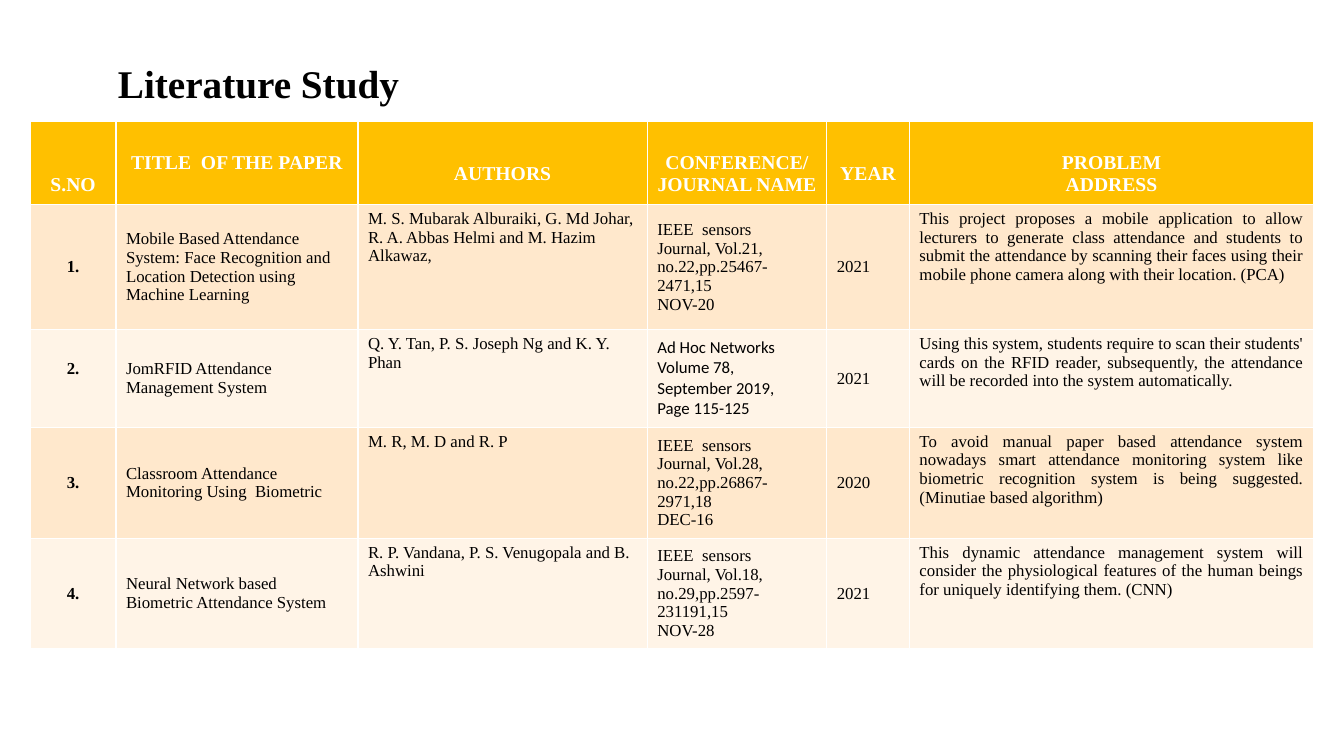
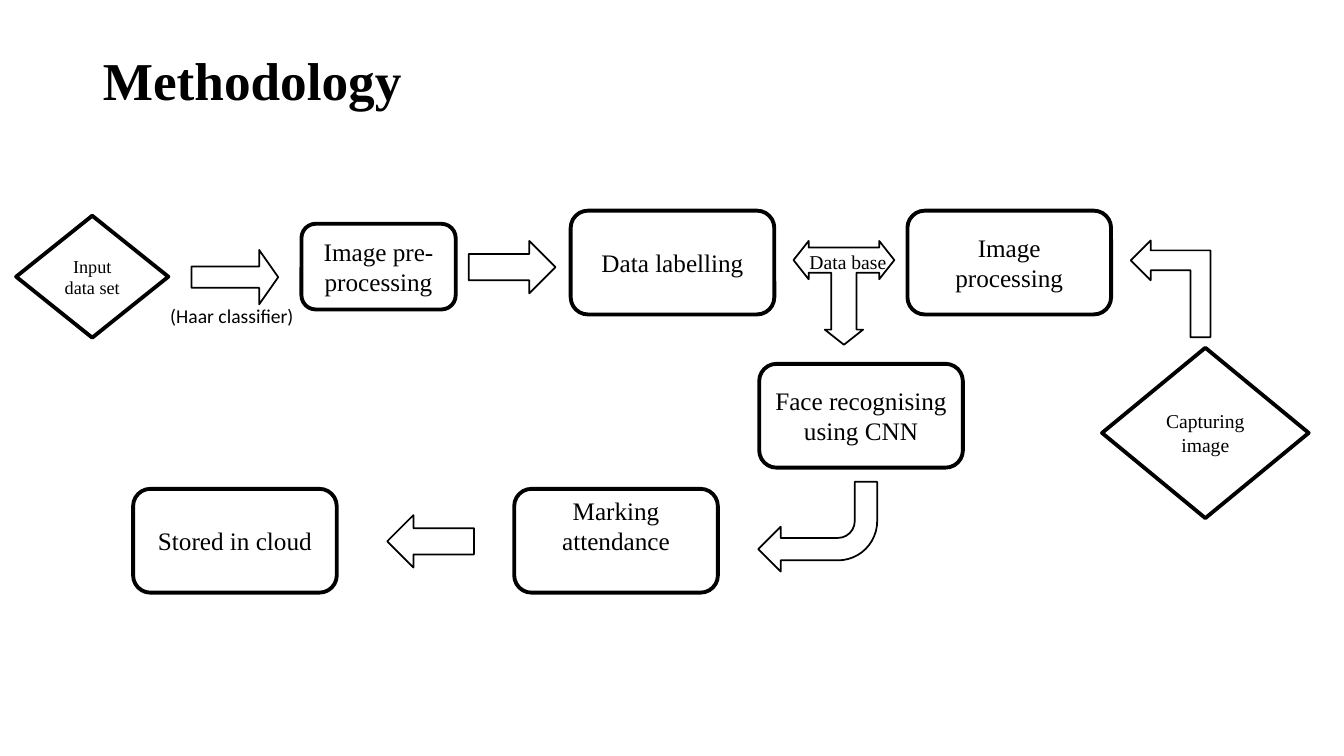
from pptx import Presentation
from pptx import util as u
from pptx.dml.color import RGBColor
from pptx.enum import shapes, text

BLACK = RGBColor(0, 0, 0)
WHITE = RGBColor(255, 255, 255)
GOLD = RGBColor(0xFF, 0xC0, 0x00)
BANDS = (RGBColor(0xFF, 0xE8, 0xCC), RGBColor(0xFF, 0xF4, 0xE7))
SERIF, SANS = "Times New Roman", "Calibri"

LEFT, CENTER, JUSTIFY = text.PP_ALIGN.LEFT, text.PP_ALIGN.CENTER, text.PP_ALIGN.JUSTIFY
TOP, MIDDLE = text.MSO_ANCHOR.TOP, text.MSO_ANCHOR.MIDDLE
GEOMETRY = shapes.MSO_SHAPE

# Literature table: width, alignment and anchor of each column
COLUMNS = [(0.85, CENTER, MIDDLE), (2.4, LEFT, MIDDLE), (2.87, LEFT, TOP),
           (1.78, LEFT, MIDDLE), (0.82, LEFT, MIDDLE), (4.01, JUSTIFY, TOP)]
ROW_HEIGHTS = [0.83, 1.24, 0.97, 1.1, 1.1]
HEADER_LINE = 0.22
# Heading and the number of lines it is pushed down
HEADINGS = [("S.NO", 2), ("TITLE  OF THE PAPER", 0), ("AUTHORS", 1),
            ("CONFERENCE/\nJOURNAL NAME", 1), ("YEAR", 1), ("PROBLEM\nADDRESS", 1)]
PAPERS = [
    ("1.", "Mobile Based Attendance System: Face Recognition and Location Detection "
     "using Machine Learning",
     "M. S. Mubarak Alburaiki, G. Md Johar, R. A. Abbas Helmi and M. Hazim Alkawaz,",
     "IEEE  sensors\nJournal, Vol.21, no.22,pp.25467-2471,15\nNOV-20", "2021",
     "This project proposes a mobile application to allow lecturers to generate class "
     "attendance and students to submit the attendance by scanning their faces using "
     "their mobile phone camera along with their location. (PCA)"),
    ("2.", "JomRFID Attendance Management System",
     "Q. Y. Tan, P. S. Joseph Ng and K. Y. Phan",
     "Ad Hoc Networks\nVolume 78,\nSeptember 2019,\nPage 115-125", "2021",
     "Using this system, students require to scan their students' cards on the RFID "
     "reader, subsequently, the attendance will be recorded into the system "
     "automatically."),
    ("3.", "Classroom Attendance Monitoring Using  Biometric",
     "M. R, M. D and R. P",
     "IEEE  sensors\nJournal, Vol.28, no.22,pp.26867-2971,18\nDEC-16", "2020",
     "To avoid manual paper based attendance system nowadays smart attendance "
     "monitoring system like biometric recognition system is being suggested. "
     "(Minutiae based algorithm)"),
    ("4.", "Neural Network based Biometric Attendance System",
     "R. P. Vandana, P. S. Venugopala and B. Ashwini",
     "IEEE  sensors\nJournal, Vol.18, no.29,pp.2597-231191,15\nNOV-28", "2021",
     "This dynamic attendance management system will consider the physiological "
     "features of the human beings for uniquely identifying them. (CNN)"),
]

# Flow chart: rows, and the size of a normal step
UPPER, BRANCH, LOWER = 2.09, 3.61, 4.85
STEP = (2.02, 1.03)
ARROW = (0.86, 0.52)
STEPS = [("Data labelling", 5.66, UPPER), ("Image processing", 9, UPPER),
         ("Face recognising using CNN", 7.53, BRANCH), ("Stored in cloud", 1.32, LOWER)]


def inches(*lengths):
    return [u.Inches(length) for length in lengths]


def write(frame, words, size, font=SERIF, color=BLACK, bold=False, align=LEFT):
    frame.text = words
    frame.word_wrap = True
    for paragraph in frame.paragraphs:
        paragraph.alignment = align
        paragraph.font.size = u.Pt(size)
        paragraph.font.name = font
        paragraph.font.color.rgb = color
        paragraph.font.bold = bold


def add_titled_slide(deck, title, at, size):
    slide = deck.slides.add_slide(deck.slide_layouts[5])
    heading = slide.shapes.title
    heading.left, heading.top, heading.width, heading.height = inches(*at)
    write(heading.text_frame, title, size, bold=True)
    heading.text_frame.vertical_anchor = TOP
    heading.text_frame.auto_size = text.MSO_AUTO_SIZE.NONE
    return slide


def fill_cell(cell, words, fill, size, anchor, **style):
    cell.fill.solid()
    cell.fill.fore_color.rgb = fill
    write(cell.text_frame, words, size, **style)
    cell.vertical_anchor = anchor


def add_literature_table(slide):
    width = sum(column[0] for column in COLUMNS)
    table = slide.shapes.add_table(
        len(ROW_HEIGHTS), len(COLUMNS),
        *inches(0.3, 1.2, width, sum(ROW_HEIGHTS))).table
    for row, height in zip(table.rows, ROW_HEIGHTS):
        row.height = u.Inches(height)
    for c, (width, align, anchor) in enumerate(COLUMNS):
        table.columns[c].width = u.Inches(width)
        heading, lines_down = HEADINGS[c]
        head = table.cell(0, c)
        fill_cell(head, heading, GOLD, 14, MIDDLE, color=WHITE, bold=True, align=CENTER)
        head.margin_top = u.Inches(0.05 + lines_down * HEADER_LINE)
        for r, paper in enumerate(PAPERS):
            font = SANS if paper[c].startswith("Ad Hoc") else SERIF
            fill_cell(table.cell(r + 1, c), paper[c], BANDS[r % 2], 12, anchor,
                      font=font, bold=c == 0, align=align)
    table.cell(2, 0).margin_bottom = u.Inches(0.25)


def add_outline(slide, geometry, at, weight):
    shape = slide.shapes.add_shape(geometry, *inches(*at))
    shape.shadow.inherit = False
    shape.fill.solid()
    shape.fill.fore_color.rgb = WHITE
    shape.line.color.rgb = BLACK
    shape.line.width = u.Pt(weight)
    return shape


def add_node(slide, words, at, size=18, geometry=GEOMETRY.ROUNDED_RECTANGLE):
    node = add_outline(slide, geometry, at, 2.75)
    write(node.text_frame, words, size, align=CENTER)
    node.text_frame.vertical_anchor = MIDDLE
    return node


def add_arrow(slide, at, geometry=GEOMETRY.RIGHT_ARROW, rotation=0, adjustments=()):
    arrow = add_outline(slide, geometry, at, 1.25)
    arrow.rotation = rotation
    for i, value in enumerate(adjustments):
        arrow.adjustments[i] = value


def add_label(slide, words, at, font=SERIF):
    label = slide.shapes.add_textbox(*inches(*at))
    write(label.text_frame, words, 14, font=font)


def add_flow_chart(slide):
    for words, left, top in STEPS:
        add_node(slide, words, (left, top, *STEP))
    marking = add_node(slide, "Marking attendance", (5.1, LOWER, *STEP))
    marking.text_frame.margin_bottom = u.Inches(0.35)
    add_node(slide, "Image pre-processing", (2.99, 2.22, 1.53, 0.85))
    add_node(slide, "Input data set", (0.16, 2.14, 1.51, 1.21), 13, GEOMETRY.DIAMOND)
    add_node(slide, "Capturing image", (10.93, 3.45, 2.05, 1.69), 14, GEOMETRY.DIAMOND)

    add_arrow(slide, (1.9, 2.48, 0.86, 0.54), adjustments=(0.39, 0.35))
    add_arrow(slide, (4.65, 2.39, *ARROW))
    add_arrow(slide, (3.84, 5.11, *ARROW), rotation=180)
    add_arrow(slide, (7.87, 2.39, 1, 1.03), GEOMETRY.LEFT_RIGHT_UP_ARROW, 180,
              (0.25, 0.19, 0.15))
    add_arrow(slide, (7.52, 4.78, 1.18, 0.89), GEOMETRY.BENT_ARROW, 180)
    add_arrow(slide, (11.13, 2.47, 0.96, 0.79), GEOMETRY.BENT_UP_ARROW, 270)

    add_label(slide, "Data base", (7.93, 2.43, 1.01, 0.34))
    add_label(slide, "(Haar classifier)", (1.59, 2.97, 1.44, 0.34), SANS)


def main():
    deck = Presentation()
    deck.slide_width, deck.slide_height = inches(13.33, 7.5)
    add_literature_table(
        add_titled_slide(deck, "Literature Study", (1.07, 0.54, 6.67, 0.57), 28))
    add_flow_chart(
        add_titled_slide(deck, "Methodology", (0.92, 0.42, 11.5, 1.45), 38))
    deck.save("out.pptx")


if __name__ == "__main__":
    main()
